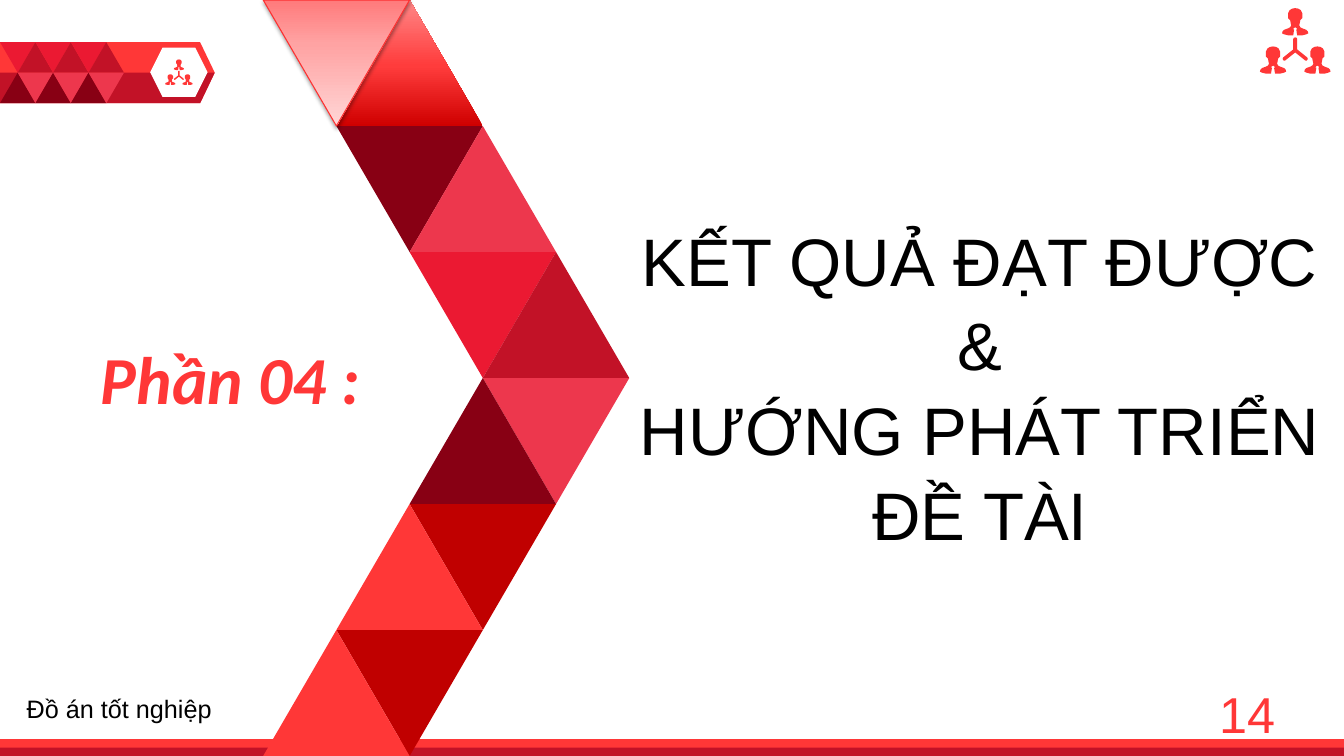
from copy import deepcopy

from lxml.etree import SubElement
from pptx import Presentation
from pptx.dml.color import RGBColor
from pptx.enum.shapes import MSO_SHAPE
from pptx.enum.text import MSO_ANCHOR, MSO_AUTO_SIZE, PP_ALIGN
from pptx.oxml.ns import qn
from pptx.util import Pt

COLORS = {
    "red": "FF3737", "crimson": "C21227", "scarlet": "EB1932",
    "rose": "ED374D", "maroon": "880014", "brick": "C00000",
    "white": "FFFFFF", "black": "000000", "edge": "FD3030",
}
GRADIENTS = {
    "glow": [(0, "CF0000"), (48, "FF3C3C"), (100, "FF8787")],
    "blush": [(0, "FF7A7B"), (35, "FFA3A3"), (100, "FFD6D6")],
}
TITLE_LINES = ["KẾT QUẢ ĐẠT ĐƯỢC", "&", "HƯỚNG PHÁT TRIỂN", "ĐỀ TÀI"]
SECTION = "Phần 04 :"
FOOTER = "Đồ án tốt nghiệp"
PAGE_NUMBER = "14"

# column, row, points up, fill
CHEVRON = [
    (1, 0, True, "glow"), (1, 1, False, "maroon"),
    (0, 0, False, "blush"), (2, 1, True, "rose"),
    (2, 2, False, "scarlet"), (3, 2, True, "crimson"),
    (3, 3, False, "rose"), (2, 3, True, "maroon"),
    (2, 4, False, "brick"), (1, 4, True, "red"),
    (1, 5, False, "brick"), (0, 5, True, "red"),
]
PERSON_HALF = [
    (0, 0), (3, 0.5), (5.5, 2), (7, 5), (7, 8), (7, 10), (5, 12), (4.5, 15),
    (4, 17), (5, 19), (7, 20), (11, 21.5), (12.5, 23), (13, 25), (11, 26),
    (7, 27), (2, 27), (1, 21), (2, 21), (1.5, 20), (0, 19),
]
HUB_HALF = [
    (0, 29), (1.5, 29.5), (2, 31), (2, 41), (12, 49), (12.5, 50.5),
    (11.5, 52), (10, 52), (0, 44),
]
PEOPLE_OFFSETS = [(0, 0), (-22, 38), (22, 38)]

deck = Presentation()
deck.slide_width, deck.slide_height = Pt(960), Pt(540)
page = deck.slides.add_slide(deck.slide_layouts[5])


def paint(shape, fill):
    shape.shadow.inherit = False
    shape.line.fill.background()
    if fill in GRADIENTS:
        shape.fill.gradient()
        shape.fill.gradient_angle = 90
        stops = shape._element.spPr.find(".//" + qn("a:gsLst"))
        stops.insert(1, deepcopy(stops[0]))
        for stop, (position, color) in zip(stops, GRADIENTS[fill]):
            stop.set("pos", str(position * 1000))
            for child in list(stop):
                stop.remove(child)
            SubElement(stop, qn("a:srgbClr"), val=color)
    else:
        shape.fill.solid()
        shape.fill.fore_color.rgb = RGBColor.from_string(COLORS[fill])
    return shape


def add_preset(kind, left, top, width, height, fill, adjustment=None):
    shape = page.shapes.add_shape(kind, Pt(left), Pt(top), Pt(width), Pt(height))
    if adjustment is not None:
        shape.adjustments[0] = adjustment
    return paint(shape, fill)


def add_triangle(left, top, width, height, up, fill):
    shape = add_preset(MSO_SHAPE.ISOSCELES_TRIANGLE, left, top, width, height, fill)
    shape.rotation = 0 if up else 180
    return shape


def add_outline(contours, fill):
    scaled = [[(Pt(x), Pt(y)) for x, y in contour] for contour in contours]
    builder = page.shapes.build_freeform(*scaled[0][0])
    for index, contour in enumerate(scaled):
        if index:
            builder.move_to(*contour[0])
        builder.add_line_segments(contour[1:], close=True)
    return paint(builder.convert_to_shape(), fill)


def add_people(center, top, unit):
    parts = [(PERSON_HALF, offset) for offset in PEOPLE_OFFSETS] + [(HUB_HALF, (0, 0))]
    contours = []
    for half, (right, down) in parts:
        whole = half + [(-x, y) for x, y in half[-2:0:-1]]
        contours.append([(center + unit * (x + right), top + unit * (y + down))
                         for x, y in whole])
    add_outline(contours, "red")


def write(box, lines, size, font, color, align=PP_ALIGN.LEFT, spacing=1, strong=False):
    frame = box.text_frame
    frame.word_wrap = True
    frame.auto_size = MSO_AUTO_SIZE.NONE
    frame.vertical_anchor = MSO_ANCHOR.TOP
    frame.text = "\n".join(lines)
    for para in frame.paragraphs:
        para.alignment = align
        para.line_spacing = spacing
        for span in para.runs:
            span.font.size = Pt(size)
            span.font.name = font
            span.font.bold = span.font.italic = strong
            span.font.color.rgb = RGBColor.from_string(COLORS[color])


def add_text(left, top, width, height, text, *style, **options):
    box = page.shapes.add_textbox(Pt(left), Pt(top), Pt(width), Pt(height))
    write(box, [text], *style, **options)


BADGE_TOP, BADGE_ROW, BADGE_WIDTH = 30.1, 21.8, 153.4
BADGE_MIDDLE, BADGE_BOTTOM = BADGE_TOP + BADGE_ROW, BADGE_TOP + 2 * BADGE_ROW
add_preset(MSO_SHAPE.PENTAGON, 0, BADGE_TOP, BADGE_WIDTH, 2 * BADGE_ROW, "red", 0.24)
add_outline([[(0, BADGE_MIDDLE), (BADGE_WIDTH, BADGE_MIDDLE),
              (143, BADGE_BOTTOM), (0, BADGE_BOTTOM)]], "crimson")
add_preset(MSO_SHAPE.HEXAGON, 107.3, 34, 41, 35.3, "white", 0.25)
add_people(127.8, 42.5, 0.28)

BADGE_FILLS = [["scarlet", "crimson"], ["maroon", "rose"]]
for column in range(6):
    for row in range(2):
        add_triangle(column * 12.65, BADGE_TOP + row * BADGE_ROW, 25.3, BADGE_ROW,
                     (column + row) % 2 == 1, BADGE_FILLS[row][column % 2])

add_preset(MSO_SHAPE.RECTANGLE, 0, 528, 960, 12, "red")
add_preset(MSO_SHAPE.RECTANGLE, 0, 534, 960, 6, "crimson")

CHEVRON_LEFT, CHEVRON_STEP, CHEVRON_ROW = 188, 52.3, 90
for column, row, up, fill in CHEVRON:
    facet = add_triangle(CHEVRON_LEFT + column * CHEVRON_STEP, row * CHEVRON_ROW,
                         2 * CHEVRON_STEP, CHEVRON_ROW, up, fill)
    if fill == "blush":
        facet.line.color.rgb = RGBColor.from_string(COLORS["edge"])
        facet.line.width = Pt(0.75)
        effects = facet._element.spPr.find(qn("a:effectLst"))
        shade = SubElement(effects, qn("a:outerShdw"), blurRad=str(Pt(3.1)),
                           dist=str(Pt(1.6)), dir="5400000", rotWithShape="0")
        tone = SubElement(shade, qn("a:srgbClr"), val=COLORS["black"])
        SubElement(tone, qn("a:alpha"), val="37000")

add_people(925.2, 5.8, 0.72)

title = page.shapes.title
title.left, title.top, title.width, title.height = Pt(448), Pt(150), Pt(504), Pt(240)
write(title, TITLE_LINES, 48, "Arial", "black", PP_ALIGN.CENTER, 1.05)
add_text(65, 237.6, 296.6, 64.8, SECTION, 48, "Calibri", "red", strong=True)
add_text(12, 492, 204, 29, FOOTER, 18, "Arial", "black")
add_text(432, 482, 486, 51, PAGE_NUMBER, 36, "Arial", "red", PP_ALIGN.RIGHT, 1.05)

deck.save("out.pptx")
